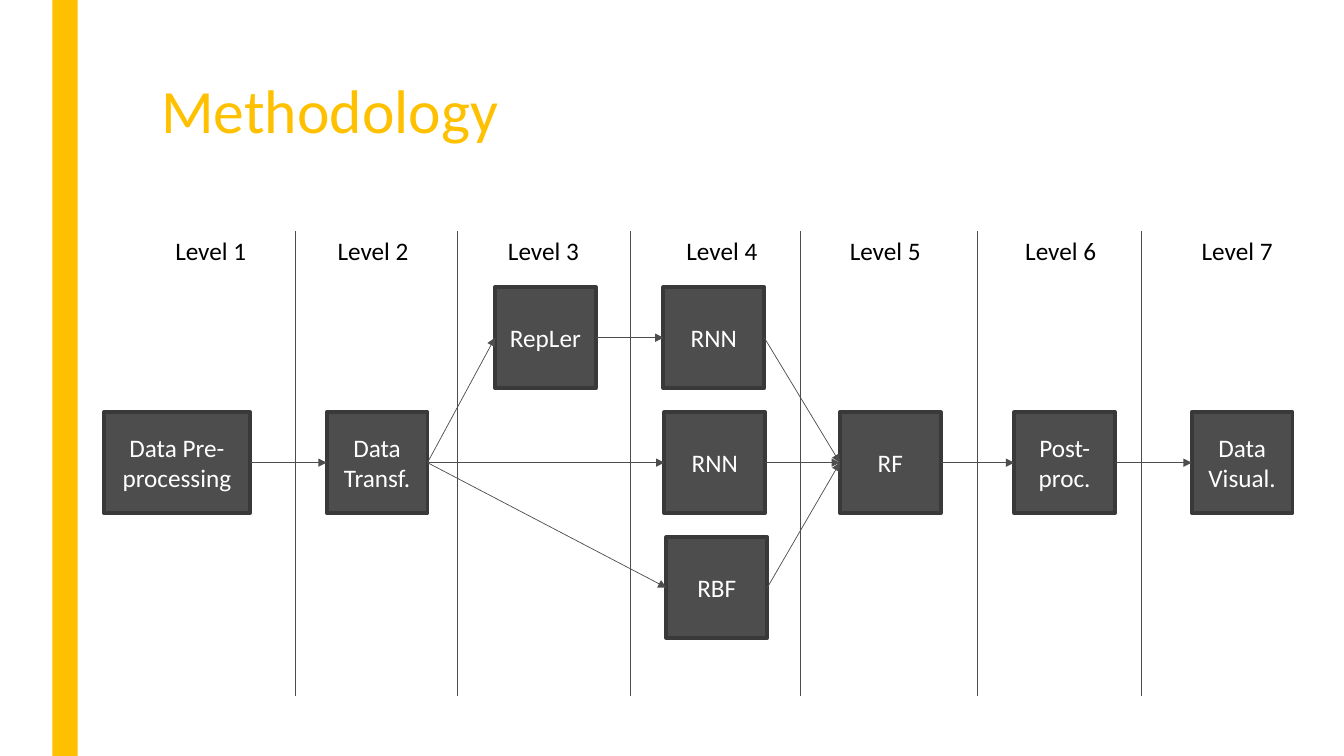
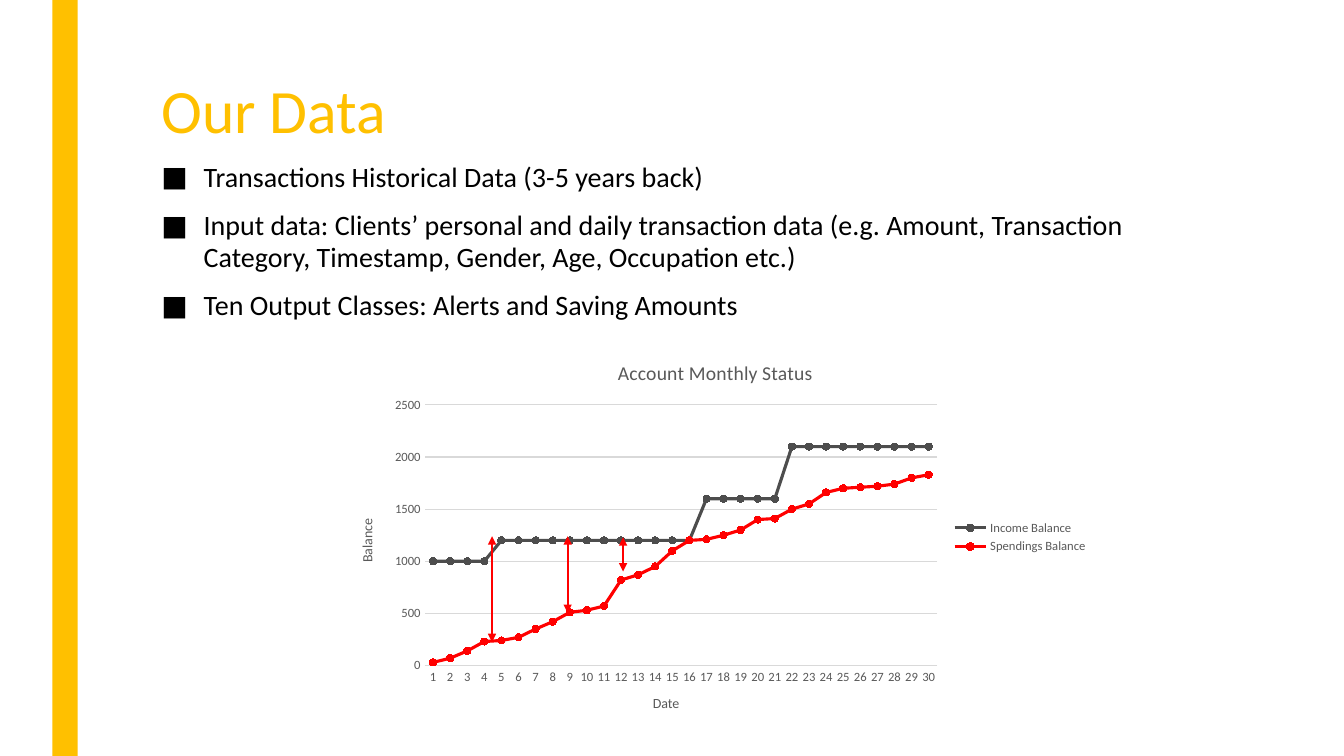
from dataclasses import dataclass
from typing import NamedTuple

from lxml import etree
from pptx import Presentation
from pptx import util as u
from pptx.chart.data import CategoryChartData
from pptx.dml.color import RGBColor
from pptx.enum import chart as charts, shapes, text
from pptx.oxml.ns import qn

PX = 9144  # EMU; 100 px to the inch
SLIDE_WIDTH, SLIDE_HEIGHT = 1333, 750
TITLE_ONLY, TITLE_AND_BODY = 5, 1
LEFT_SIDE, RIGHT_SIDE = 1, 3


@dataclass(frozen=True)
class Theme:
    font: str = "Calibri"
    accent: str = "FFC000"
    ink: str = "000000"
    dark: str = "4D4D4D"
    outline: str = "393939"
    white: str = "FFFFFF"
    alert: str = "FF0000"
    chart_text: str = "595959"
    grid: str = "D9D9D9"
    title_size: int = 44
    body_size: int = 20
    label_size: int = 18
    chart_title_size: int = 14
    axis_title_size: int = 10
    axis_size: int = 9


THEME = Theme()


class Rect(NamedTuple):
    left: int
    top: int
    width: int
    height: int


class Step(NamedTuple):
    label: str
    left: int
    row: int
    width: int = 100


class Series(NamedTuple):
    name: str
    color: str
    values: list[int]


class Gap(NamedTuple):
    x: int
    top: int
    bottom: int


BAND = Rect(52, 0, 25, SLIDE_HEIGHT)
TITLE = Rect(150, 75, 1050, 162)
BODY = Rect(150, 156, 1050, 200)
CHART = Rect(330, 340, 759, 386)

LEVEL_TOP, LEVEL_BOTTOM = 229, 690
LEVEL_LEFTS = [164, 325, 494, 671, 833, 1007, 1182]
DIVIDERS = [293, 454, 625, 794, 969, 1132]

STEP_HEIGHT, FIRST_ROW, ROW_PITCH = 100, 285, 124
STEPS = {
    "preprocess": Step("Data Pre-processing", 103, 1, 145),
    "transform": Step("Data Transf.", 324, 1),
    "repler": Step("RepLer", 491, 0),
    "rnn_top": Step("RNN", 658, 0),
    "rnn_middle": Step("RNN", 659, 1),
    "rbf": Step("RBF", 661, 2),
    "forest": Step("RF", 833, 1),
    "postprocess": Step("Post-\nproc.", 1006, 1),
    "visual": Step("Data Visual.", 1182, 1),
}
FLOWS = [
    ("preprocess", "transform"),
    ("transform", "repler"),
    ("transform", "rnn_middle"),
    ("repler", "rnn_top"),
    ("transform", "rbf"),
    ("rnn_top", "forest"),
    ("rnn_middle", "forest"),
    ("rbf", "forest"),
    ("forest", "postprocess"),
    ("postprocess", "visual"),
]

BULLETS = [
    "Transactions Historical Data (3-5 years back)",
    "Input data: Clients’ personal and daily transaction data (e.g. Amount, "
    "Transaction Category, Timestamp, Gender, Age, Occupation etc.)",
    "Ten Output Classes: Alerts and Saving Amounts",
]
BALANCES = [
    Series("Income Balance", THEME.dark,
           [1000] * 4 + [1200] * 12 + [1600] * 5 + [2100] * 9),
    Series("Spendings Balance", THEME.alert,
           [30, 70, 140, 230, 240, 270, 350, 420, 510, 530,
            570, 820, 870, 950, 1100, 1200, 1210, 1250, 1300, 1400,
            1410, 1500, 1550, 1660, 1700, 1710, 1720, 1740, 1800, 1830]),
]
PLOT_LAYOUT = {"x": 0.12, "y": 0.16, "w": 0.67, "h": 0.67}
GAPS = [Gap(618, 533, 567), Gap(563, 532, 608), Gap(488, 532, 637)]


def rgb(color: str) -> RGBColor:
    return RGBColor.from_string(color)


def emu(*lengths: int) -> list[int]:
    return [length * PX for length in lengths]


def add_xml(parent, tag: str, **attributes: str):
    return etree.SubElement(parent, qn(tag), attributes)


def style_font(font, size: int, color: str) -> None:
    font.name = THEME.font
    font.size = u.Pt(size)
    font.color.rgb = rgb(color)


def style_text(frame, size: int, color: str, align=text.PP_ALIGN.LEFT) -> None:
    for paragraph in frame.paragraphs:
        paragraph.alignment = align
        for run in paragraph.runs:
            style_font(run.font, size, color)


def add_rectangle(slide, rect: Rect, fill: str):
    shape = slide.shapes.add_shape(shapes.MSO_SHAPE.RECTANGLE, *emu(*rect))
    shape.shadow.inherit = False
    shape.fill.solid()
    shape.fill.fore_color.rgb = rgb(fill)
    shape.line.fill.background()
    return shape


def add_line(slide, start: tuple[int, int], end: tuple[int, int], color: str,
             width: float, head: bool = False, tail: bool = False):
    line = slide.shapes.add_connector(
        shapes.MSO_CONNECTOR.STRAIGHT, *emu(*start, *end))
    line.line.color.rgb = rgb(color)
    line.line.width = u.Pt(width)
    properties = line.element.spPr
    outline = properties.find(qn("a:ln"))
    for wanted, tag in ((head, "a:headEnd"), (tail, "a:tailEnd")):
        if wanted:
            add_xml(outline, tag, type="triangle")
    add_xml(properties, "a:effectLst")
    return line


def fill_placeholder(placeholder, rect: Rect, content: str, size: int,
                     color: str, spacing: float) -> None:
    placeholder.left, placeholder.top, placeholder.width, placeholder.height = emu(*rect)
    frame = placeholder.text_frame
    frame.text = content
    frame.auto_size = text.MSO_AUTO_SIZE.NONE
    frame.vertical_anchor = text.MSO_ANCHOR.TOP
    style_text(frame, size, color)
    for paragraph in frame.paragraphs:
        paragraph.line_spacing = spacing
        paragraph.space_before = u.Pt(0)


def add_slide(presentation, layout: int, title: str):
    slide = presentation.slides.add_slide(presentation.slide_layouts[layout])
    fill_placeholder(slide.shapes.title, TITLE, title,
                     THEME.title_size, THEME.accent, 0.89)
    return slide


def add_master_band(presentation, slide) -> None:
    """Draw the band on a slide, then move it to the master behind all slides."""
    band = add_rectangle(slide, BAND, THEME.accent)
    presentation.slide_master.shapes.element.insert(2, band.element)


def add_level(slide, number: int, left: int) -> None:
    box = slide.shapes.add_textbox(*emu(left, LEVEL_TOP, 96, 40))
    box.text_frame.word_wrap = False
    box.text_frame.text = f"Level {number}"
    style_text(box.text_frame, THEME.label_size, THEME.ink)


def add_step(slide, step: Step):
    top = FIRST_ROW + ROW_PITCH * step.row
    shape = add_rectangle(
        slide, Rect(step.left, top, step.width, STEP_HEIGHT), THEME.dark)
    shape.line.color.rgb = rgb(THEME.outline)
    shape.line.width = u.Pt(2.75)
    frame = shape.text_frame
    frame.word_wrap = True
    frame.vertical_anchor = text.MSO_ANCHOR.MIDDLE
    frame.text = step.label
    style_text(frame, THEME.label_size, THEME.white, text.PP_ALIGN.CENTER)
    return shape


def add_flow(slide, source, target) -> None:
    arrow = add_line(slide, (0, 0), (0, 0), THEME.dark, 0.5, tail=True)
    arrow.begin_connect(source, RIGHT_SIDE)
    arrow.end_connect(target, LEFT_SIDE)


def build_methodology(presentation):
    slide = add_slide(presentation, TITLE_ONLY, "Methodology")
    for x in DIVIDERS:
        add_line(slide, (x, LEVEL_TOP), (x, LEVEL_BOTTOM), THEME.dark, 0.5)
    for number, left in enumerate(LEVEL_LEFTS, start=1):
        add_level(slide, number, left)
    boxes = {key: add_step(slide, step) for key, step in STEPS.items()}
    for source, target in FLOWS:
        add_flow(slide, boxes[source], boxes[target])
    return slide


def add_bullets(placeholder) -> None:
    fill_placeholder(placeholder, BODY, "\n".join(BULLETS),
                     THEME.body_size, THEME.ink, 0.94)
    for paragraph in placeholder.text_frame.paragraphs:
        paragraph.space_before, paragraph.space_after = u.Pt(10), u.Pt(2)
        properties = paragraph._p.get_or_add_pPr()
        indent = 42 * PX
        properties.set("marL", str(indent))
        properties.set("indent", str(-indent))
        add_xml(properties, "a:buFont", typeface=THEME.font)
        add_xml(properties, "a:buChar", char="■")


def title_chart_part(part, title: str, size: int) -> None:
    """Title a chart or one of its axes."""
    heading = part.chart_title if hasattr(part, "chart_title") else part.axis_title
    frame = heading.text_frame
    frame.text = title
    font = frame.paragraphs[0].runs[0].font
    style_font(font, size, THEME.chart_text)
    font.bold = False


def style_axis(axis, title: str) -> None:
    title_chart_part(axis, title, THEME.axis_title_size)
    style_font(axis.tick_labels.font, THEME.axis_size, THEME.chart_text)
    axis.major_tick_mark = charts.XL_TICK_MARK.NONE
    axis.minor_tick_mark = charts.XL_TICK_MARK.NONE


def set_line(line_format, color: str, width: float) -> None:
    line_format.color.rgb = rgb(color)
    line_format.width = u.Pt(width)


def place_plot(chart) -> None:
    """Fix the inner plot area as fractions of the chart."""
    plot_area = chart.element.find(".//" + qn("c:plotArea"))
    for old in plot_area.findall(qn("c:layout")):
        plot_area.remove(old)
    layout = etree.Element(qn("c:layout"))
    plot_area.insert(0, layout)
    manual = add_xml(layout, "c:manualLayout")
    add_xml(manual, "c:layoutTarget", val="inner")
    for side in "xy":
        add_xml(manual, f"c:{side}Mode", val="edge")
    for name, fraction in PLOT_LAYOUT.items():
        add_xml(manual, f"c:{name}", val=str(fraction))


def add_balance_chart(slide) -> None:
    data = CategoryChartData()
    data.categories = [str(day) for day in range(1, 31)]
    for series in BALANCES:
        data.add_series(series.name, series.values)
    chart = slide.shapes.add_chart(
        charts.XL_CHART_TYPE.LINE_MARKERS, *emu(*CHART), data).chart
    style_font(chart.font, THEME.axis_title_size, THEME.ink)
    title_chart_part(chart, "Account Monthly Status", THEME.chart_title_size)
    chart.has_legend = True
    chart.legend.position = charts.XL_LEGEND_POSITION.RIGHT
    chart.legend.include_in_layout = False
    style_font(chart.legend.font, THEME.axis_size, THEME.chart_text)

    days, amounts = chart.category_axis, chart.value_axis
    style_axis(days, "Date")
    set_line(days.format.line, THEME.grid, 0.75)
    style_axis(amounts, "Balance")
    amounts.format.line.fill.background()
    amounts.minimum_scale, amounts.maximum_scale, amounts.major_unit = 0, 2500, 500
    set_line(amounts.major_gridlines.format.line, THEME.grid, 0.75)

    plot = chart.plots[0]
    plot.vary_by_categories = False
    for drawn, series in zip(plot.series, BALANCES):
        drawn.smooth = False
        set_line(drawn.format.line, series.color, 2.25)
        marker = drawn.marker
        marker.style, marker.size = charts.XL_MARKER_STYLE.CIRCLE, 5
        marker.format.fill.solid()
        marker.format.fill.fore_color.rgb = rgb(series.color)
        set_line(marker.format.line, series.color, 0.75)
    place_plot(chart)


def build_data(presentation) -> None:
    slide = add_slide(presentation, TITLE_AND_BODY, "Our Data")
    add_bullets(slide.placeholders[1])
    add_balance_chart(slide)
    for gap in GAPS:
        add_line(slide, (gap.x, gap.top), (gap.x, gap.bottom),
                 THEME.alert, 1.5, head=True, tail=True)


def main() -> None:
    presentation = Presentation()
    presentation.slide_width, presentation.slide_height = emu(SLIDE_WIDTH, SLIDE_HEIGHT)
    add_master_band(presentation, build_methodology(presentation))
    build_data(presentation)
    presentation.save("out.pptx")


if __name__ == "__main__":
    main()
